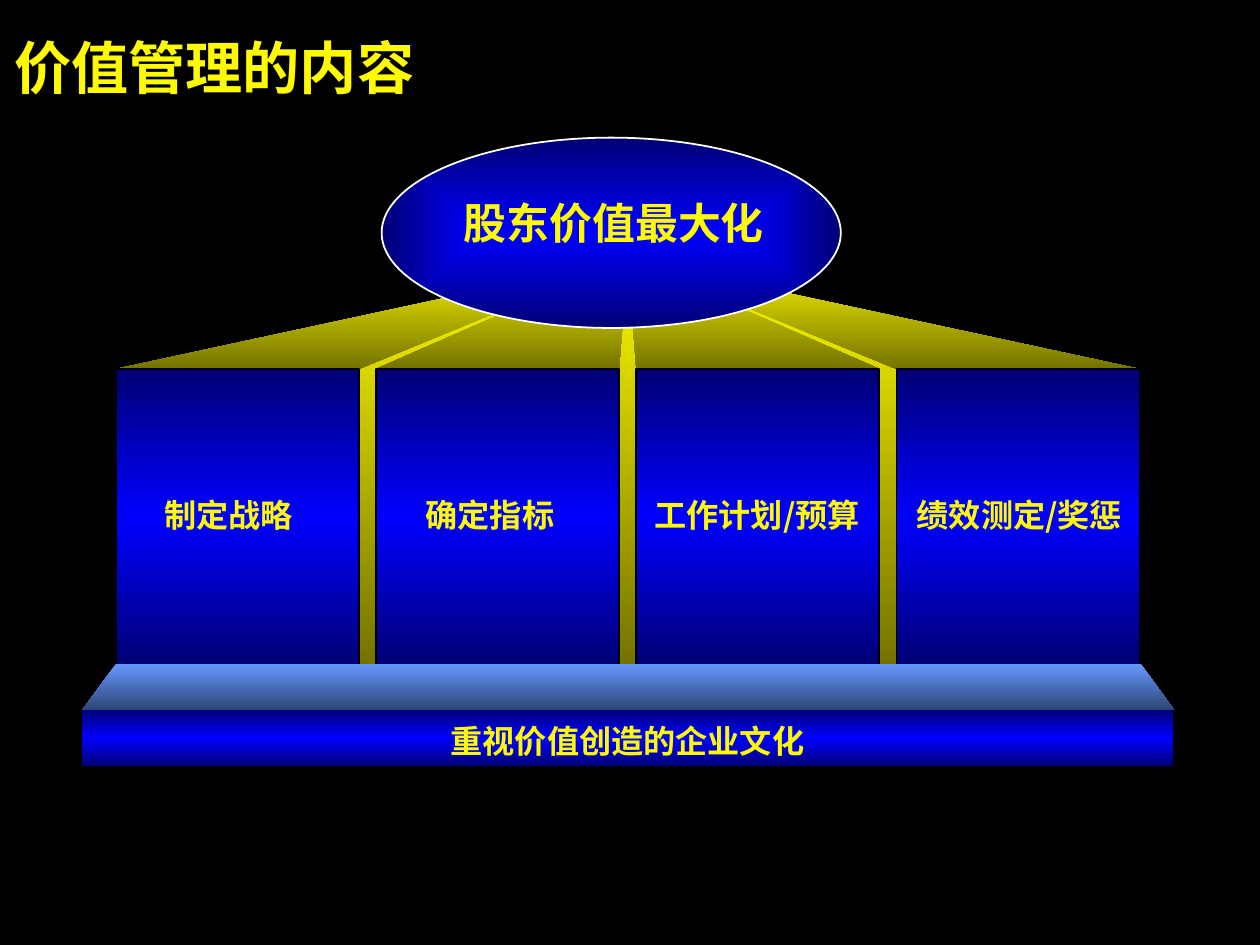
from pptx import Presentation
from pptx.dml.color import RGBColor
from pptx.enum.shapes import MSO_SHAPE
from pptx.enum.text import MSO_ANCHOR, MSO_AUTO_SIZE, PP_ALIGN
from pptx.oxml import parse_xml
from pptx.oxml.ns import nsdecls, qn
from pptx.util import Cm, Pt

BLACK = RGBColor(0x00, 0x00, 0x00)
WHITE = RGBColor(0xFF, 0xFF, 0xFF)
YELLOW = RGBColor(0xFE, 0xFB, 0x00)
OLIVE = RGBColor(0x75, 0x73, 0x00)
BLUE = RGBColor(0x00, 0x00, 0xFE)
NAVY = RGBColor(0x00, 0x00, 0x75)
SKY = RGBColor(0x65, 0x98, 0xFF)
SLATE = RGBColor(0x2E, 0x46, 0x75)

TITLE = "价值管理的内容"
GOAL = "股东价值最大化"
CULTURE = "重视价值创造的企业文化"
PILLARS = [
    ("制定战略", 3.25, "Arial"),
    ("确定指标", 8.41, "Arial"),
    ("工作计划/预算", 12.93, "Noto Sans CJK SC"),
    ("绩效测定/奖惩", 18.11, "Noto Sans CJK SC"),
]

PILLAR_LEFT, PILLAR_TOP = 2.29, 7.29
PILLAR_WIDTH, PILLAR_HEIGHT, PILLAR_PITCH = 4.8, 5.84, 5.14
APEX = (12.4, 5.11)
BACKDROP = [(6.86, 13.13), (17.93, 13.13), (17.93, 7.26), (12.37, 5.08), (6.86, 7.26)]
FLOOR = [(1.63, 14.02), (2.3, 13.11), (22.53, 13.11), (23.19, 14.02)]
DOWNWARD = '<a:lin ang="5400000" scaled="0"/>'
OUTWARD = '<a:path path="rect"><a:fillToRect l="50000" t="50000" r="50000" b="50000"/></a:path>'


def paint(shape, colours, direction=DOWNWARD, line=None):
    """Give a shape an evenly spaced gradient and an optional outline."""
    shape.shadow.inherit = False
    shape.fill.gradient()
    step = 100000 // (len(colours) - 1)
    stops = "".join(
        f'<a:gs pos="{index * step}"><a:srgbClr val="{colour}"/></a:gs>'
        for index, colour in enumerate(colours)
    )
    gradient = parse_xml(
        f'<a:gradFill {nsdecls("a")} rotWithShape="1">'
        f"<a:gsLst>{stops}</a:gsLst>{direction}</a:gradFill>"
    )
    properties = shape._element.spPr
    properties.replace(properties.find(qn("a:gradFill")), gradient)
    if line is None:
        shape.line.fill.background()
    else:
        shape.line.color.rgb = line
        shape.line.width = Pt(1)


def add_polygon(page, points, colours):
    """Draw a closed gradient outline through points in centimetres."""
    corners = [(Cm(x), Cm(y)) for x, y in points]
    builder = page.shapes.build_freeform(*corners[0])
    builder.add_line_segments(corners[1:], close=True)
    paint(builder.convert_to_shape(), colours)


def add_preset(page, kind, bounds, colours, **style):
    """Draw a preset shape with a gradient."""
    paint(page.shapes.add_shape(kind, *map(Cm, bounds)), colours, **style)


def write(box, text, size, font="Arial", align=PP_ALIGN.LEFT):
    """Write one bold yellow line into a box without margins."""
    frame = box.text_frame
    frame.text = text
    frame.word_wrap = True
    frame.auto_size = MSO_AUTO_SIZE.NONE
    frame.vertical_anchor = MSO_ANCHOR.MIDDLE
    frame.margin_left = frame.margin_right = frame.margin_top = frame.margin_bottom = 0
    para = frame.paragraphs[0]
    para.alignment = align
    para.font.name = font
    para.font.size = Pt(size)
    para.font.bold = True
    para.font.color.rgb = YELLOW


def add_label(page, bounds, text, size, **style):
    """Add a text box with one line."""
    write(page.shapes.add_textbox(*map(Cm, bounds)), text, size, **style)


def main():
    """Build the value management slide."""
    deck = Presentation()
    deck.slide_width, deck.slide_height = Cm(24.89), Cm(18.67)
    page = deck.slides.add_slide(deck.slide_layouts[5])
    page.background.fill.solid()
    page.background.fill.fore_color.rgb = BLACK

    title = page.shapes.title
    title.left, title.top, title.width, title.height = Cm(0.28), Cm(0.64), Cm(24.16), Cm(1.35)
    write(title, TITLE, 32)

    lefts = [PILLAR_LEFT + index * PILLAR_PITCH for index in range(len(PILLARS))]
    roof = []
    for left in reversed(lefts):
        roof += [APEX, (left + PILLAR_WIDTH, PILLAR_TOP), (left, PILLAR_TOP)]
    add_polygon(page, BACKDROP, [YELLOW, OLIVE])
    add_polygon(page, roof, [YELLOW, OLIVE])

    band = [NAVY, BLUE, NAVY]
    for left in lefts:
        bounds = (left, PILLAR_TOP, PILLAR_WIDTH, PILLAR_HEIGHT)
        add_preset(page, MSO_SHAPE.RECTANGLE, bounds, band, line=BLACK)
    add_polygon(page, FLOOR, [SKY, SLATE])
    add_preset(page, MSO_SHAPE.RECTANGLE, (1.63, 14.02, 21.54, 1.12), band)
    add_preset(page, MSO_SHAPE.OVAL, (7.54, 2.72, 9.07, 3.76), [BLUE, NAVY],
               direction=OUTWARD, line=WHITE)

    add_label(page, (8.99, 3.89, 6.27, 1.02), GOAL, 24, align=PP_ALIGN.CENTER)
    for text, left, font in PILLARS:
        add_label(page, (left, 9.78, 4.5, 0.76), text, 18, font=font)
    add_label(page, (2.49, 14.25, 19.81, 0.76), CULTURE, 18, align=PP_ALIGN.CENTER)
    deck.save("out.pptx")


if __name__ == "__main__":
    main()
